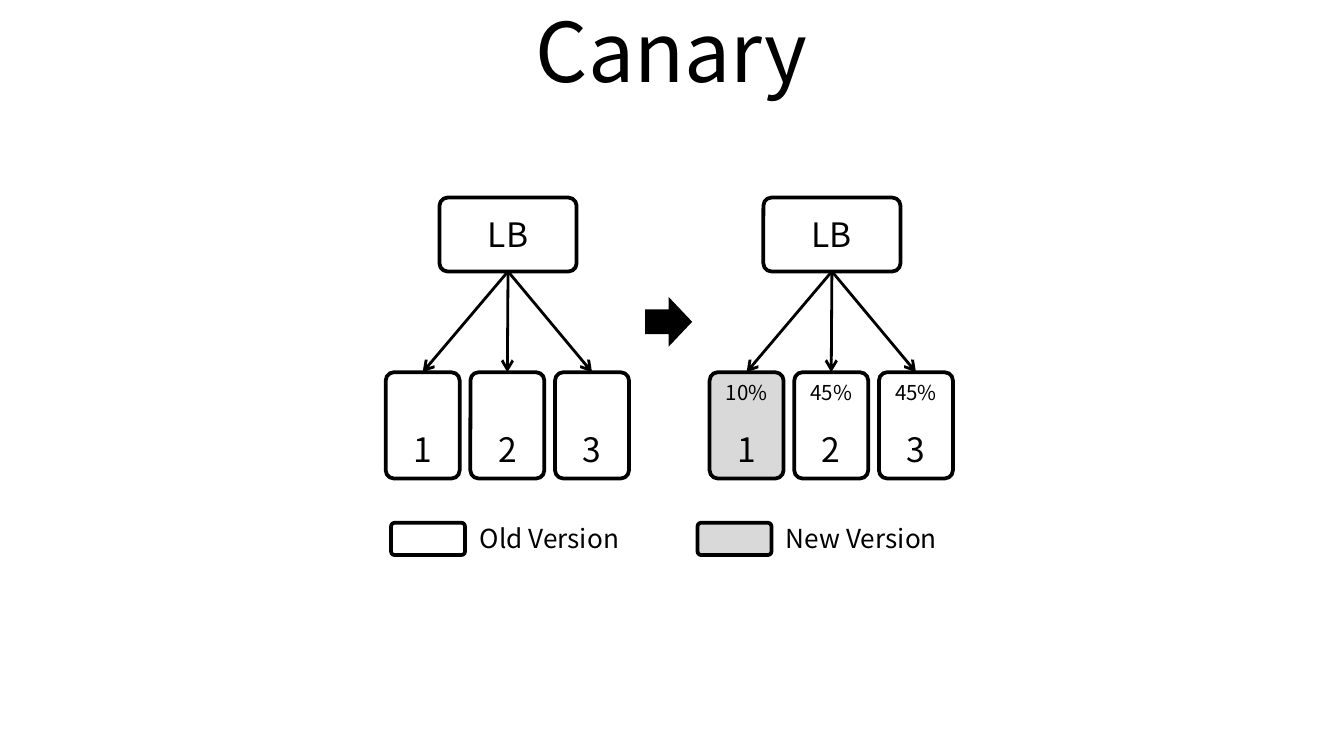
"""Build the canary deployment slide on a square grid of 100 columns."""
from dataclasses import dataclass

from lxml import etree
from pptx import Presentation
from pptx.dml.color import RGBColor
from pptx.enum.shapes import MSO_CONNECTOR, MSO_SHAPE
from pptx.enum.text import MSO_ANCHOR, PP_ALIGN
from pptx.oxml.ns import qn
from pptx.util import Inches, Pt

ROUNDED, ARROW = MSO_SHAPE.ROUNDED_RECTANGLE, MSO_SHAPE.RIGHT_ARROW
STRAIGHT = MSO_CONNECTOR.STRAIGHT
MIDDLE, BOTTOM, TOP = MSO_ANCHOR.MIDDLE, MSO_ANCHOR.BOTTOM, MSO_ANCHOR.TOP
CENTER, LEFT = PP_ALIGN.CENTER, PP_ALIGN.LEFT

FONT = "Noto Sans CJK KR"
COLORS = {"ink": "000000", "new": "D9D9D9"}
COLUMNS = 100
SLIDE_W = Inches(10)
SLIDE_H = SLIDE_W * 9 // 16
CELL = SLIDE_W / COLUMNS
POD_PITCH, LB_OFFSET = 6.3, 4
POD_TOP, LB_TOP, LEGEND_TOP = 27.7, 14.7, 38.9


@dataclass
class Pod:
    name: str
    share: str = ""
    fill: str | None = None


@dataclass
class Cluster:
    col: float
    pods: list[Pod]


@dataclass
class LegendItem:
    col: float
    label: str
    width: float
    fill: str | None = None


CLUSTERS = [
    Cluster(28.7, [Pod("1"), Pod("2"), Pod("3")]),
    Cluster(52.8, [Pod("1", "10%", "new"), Pod("2", "45%"), Pod("3", "45%")]),
]
LEGEND = [
    LegendItem(29.1, "Old Version", 12.5),
    LegendItem(51.9, "New Version", 13.3, "new"),
]


def grid(*cells: float) -> list[int]:
    """Turn grid cells into slide lengths."""
    return [round(c * CELL) for c in cells]


def rgb(name: str) -> RGBColor:
    """Look up a named colour."""
    return RGBColor.from_string(COLORS[name])


def write(tf, text: str, size: float, align=CENTER, anchor=MIDDLE,
          gap: float = 0, wrap: bool = True, first: bool = True) -> None:
    """Write one formatted paragraph into a text frame."""
    tf.word_wrap, tf.vertical_anchor = wrap, anchor
    p = tf.paragraphs[0] if first else tf.add_paragraph()
    p.alignment = align
    if gap:
        p.space_before = Pt(gap)
    r = p.add_run()
    r.text = text
    r.font.name, r.font.size, r.font.color.rgb = FONT, Pt(size), rgb("ink")


def add_box(s, col: float, row: float, w: float, h: float,
            fill: str | None = None):
    """Add an outlined rounded box."""
    sp = s.shapes.add_shape(ROUNDED, *grid(col, row, w, h))
    sp.adjustments[0] = 0.11
    sp.shadow.inherit = False
    if fill:
        sp.fill.solid()
        sp.fill.fore_color.rgb = rgb(fill)
    else:
        sp.fill.background()
    sp.line.color.rgb, sp.line.width = rgb("ink"), Pt(2)
    return sp


def add_link(s, start, end) -> None:
    """Join the bottom of one box to the top of another with an arrow."""
    cx = s.shapes.add_connector(STRAIGHT, 0, 0, 0, 0)
    cx.begin_connect(start, 2)
    cx.end_connect(end, 0)
    cx.line.color.rgb, cx.line.width = rgb("ink"), Pt(1.5)
    props = cx.element.spPr
    etree.SubElement(props.get_or_add_ln(), qn("a:tailEnd"), type="arrow")
    etree.SubElement(props, qn("a:effectLst"))


def add_cluster(s, cluster: Cluster) -> None:
    """Add a load balancer linked to its pods."""
    lb = add_box(s, cluster.col + LB_OFFSET, LB_TOP, 10.2, 5.5)
    write(lb.text_frame, "LB", 18)
    for i, pod in enumerate(cluster.pods):
        sp = add_box(s, cluster.col + i * POD_PITCH, POD_TOP, 5.5, 7.9, pod.fill)
        if pod.share:
            write(sp.text_frame, pod.share, 11, anchor=BOTTOM)
        write(sp.text_frame, pod.name, 18, anchor=BOTTOM,
              gap=13 if pod.share else 0, first=not pod.share)
        add_link(s, lb, sp)


def add_legend_item(s, item: LegendItem) -> None:
    """Add a colour key with its label."""
    add_box(s, item.col, LEGEND_TOP, 5.5, 2.4, item.fill)
    tb = s.shapes.add_textbox(*grid(item.col + 5.6, LEGEND_TOP - 0.5, item.width, 3.4))
    write(tb.text_frame, item.label, 14, LEFT, TOP, wrap=False)


def main() -> None:
    """Build and save the slide."""
    prs = Presentation()
    prs.slide_width, prs.slide_height = SLIDE_W, SLIDE_H
    s = prs.slides.add_slide(prs.slide_layouts[5])
    title = s.shapes.title
    title.left, title.top, title.width, title.height = grid(5, -1, 90, 9.4)
    write(title.text_frame, "Canary", 44)
    for cluster in CLUSTERS:
        add_cluster(s, cluster)
    for item in LEGEND:
        add_legend_item(s, item)
    sp = s.shapes.add_shape(ARROW, *grid(48, 22.1, 3.5, 3.7))
    sp.shadow.inherit = False
    sp.fill.solid()
    sp.fill.fore_color.rgb = rgb("ink")
    sp.line.fill.background()
    prs.save("out.pptx")


if __name__ == "__main__":
    main()
